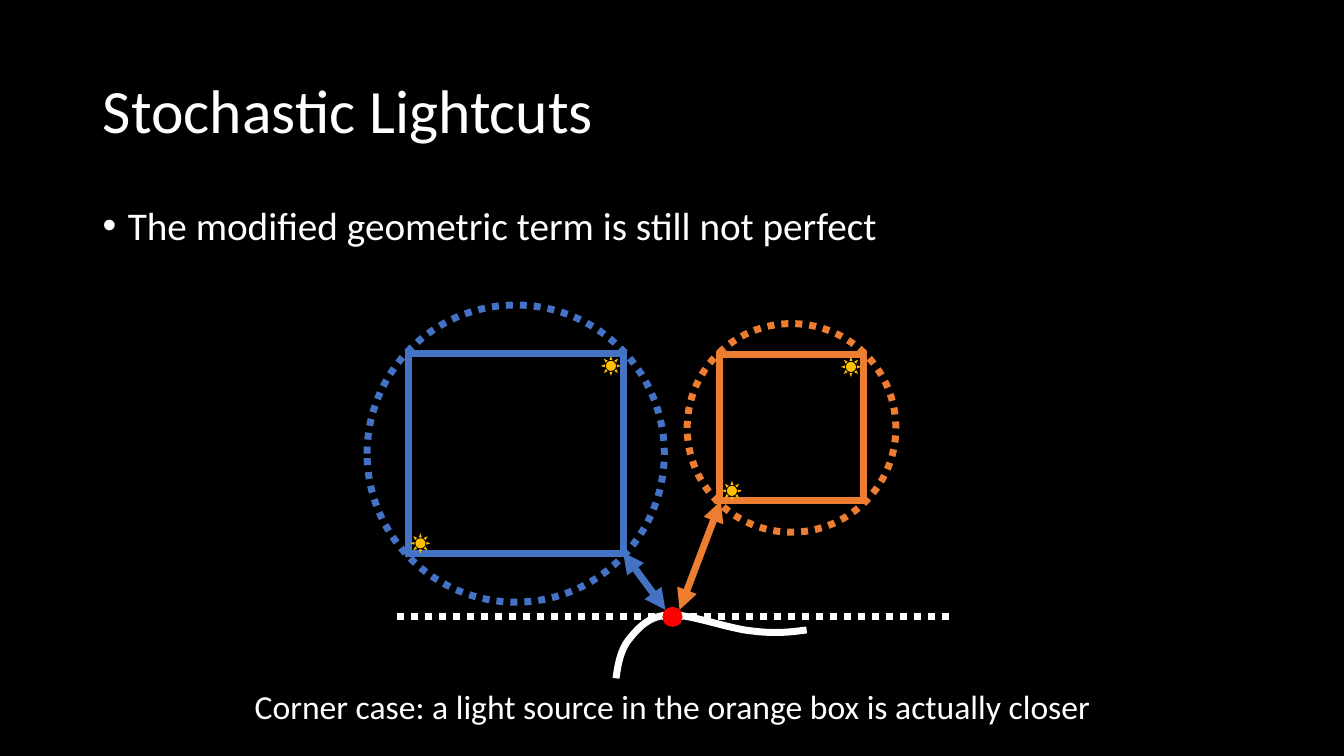
from math import hypot

from lxml import etree
from pptx import Presentation
from pptx.dml.color import RGBColor
from pptx.enum.dml import MSO_LINE
from pptx.enum.shapes import MSO_CONNECTOR, MSO_SHAPE
from pptx.enum.text import MSO_ANCHOR, MSO_AUTO_SIZE, PP_ALIGN
from pptx.oxml.ns import qn
from pptx.util import Inches, Pt

BLACK = RGBColor(0x00, 0x00, 0x00)
WHITE = RGBColor(0xFF, 0xFF, 0xFF)
RED = RGBColor(0xFF, 0x00, 0x00)
BLUE = RGBColor(0x44, 0x72, 0xC4)
ORANGE = RGBColor(0xED, 0x7D, 0x31)
GOLD = RGBColor(0xFF, 0xC0, 0x00)
DOTTED = MSO_LINE.ROUND_DOT
STRAIGHT = MSO_CONNECTOR.STRAIGHT
RECTANGLE, OVAL, SUN = MSO_SHAPE.RECTANGLE, MSO_SHAPE.OVAL, MSO_SHAPE.SUN
LEFT, CENTER = PP_ALIGN.LEFT, PP_ALIGN.CENTER
TOP, MIDDLE = MSO_ANCHOR.TOP, MSO_ANCHOR.MIDDLE
NO_AUTO_SIZE = MSO_AUTO_SIZE.NONE
FIT_SHAPE = MSO_AUTO_SIZE.SHAPE_TO_FIT_TEXT

MARKER = 0.2
SURFACE_START = (6.11, 6.73)
SURFACE_CURVES = [
    ((6.13, 6.58), (6.16, 6.43), (6.25, 6.33)),
    ((6.34, 6.22), (6.44, 6.11), (6.64, 6.10)),
    ((6.84, 6.09), (7.23, 6.24), (7.46, 6.26)),
    ((7.69, 6.29), (7.85, 6.27), (8.00, 6.25)),
]


def style_line(shape, color, dash=None, arrows=False):
    """Give a shape or connector a thick line with mitred corners."""
    line = shape.line
    line.color.rgb = color
    line.width = Pt(5)
    if dash is not None:
        line.dash_style = dash
    outline = shape._element.spPr.find(qn("a:ln"))
    etree.SubElement(outline, qn("a:miter"), lim="800000")
    if arrows:
        for end in ("a:headEnd", "a:tailEnd"):
            etree.SubElement(outline, qn(end), type="triangle")


def add_line(slide, start, end, color, dash=None, arrows=False):
    """Draw a straight line without a shadow."""
    points = [Inches(value) for value in (*start, *end)]
    connector = slide.shapes.add_connector(STRAIGHT, *points)
    style_line(connector, color, dash, arrows)
    etree.SubElement(connector._element.spPr, qn("a:effectLst"))


def add_outline(slide, kind, box, color, dash=None):
    """Draw an unfilled preset shape."""
    shape = slide.shapes.add_shape(kind, *map(Inches, box))
    shape.shadow.inherit = False
    shape.fill.background()
    style_line(shape, color, dash)


def add_marker(slide, kind, left, top, color):
    """Draw a small filled marker."""
    shape = slide.shapes.add_shape(
        kind, Inches(left), Inches(top), Inches(MARKER), Inches(MARKER))
    shape.shadow.inherit = False
    shape.fill.solid()
    shape.fill.fore_color.rgb = color
    shape.line.fill.background()


def write_text(shape, text, size, alignment=LEFT, anchor=TOP, wrap=True,
               fit=NO_AUTO_SIZE):
    """Fill a shape with one white paragraph and return the paragraph."""
    frame = shape.text_frame
    frame.text = text
    frame.word_wrap = wrap
    frame.auto_size = fit
    frame.vertical_anchor = anchor
    paragraph = frame.paragraphs[0]
    paragraph.alignment = alignment
    font = paragraph.runs[0].font
    font.name = "Calibri"
    font.size = Pt(size)
    font.color.rgb = WHITE
    return paragraph


def add_title(slide, box):
    """Place the slide title."""
    title = slide.shapes.title
    title.left, title.top, title.width, title.height = map(Inches, box)
    paragraph = write_text(title, "Stochastic Lightcuts", 44, anchor=MIDDLE)
    paragraph.line_spacing = 0.9


def add_bullet(slide, box):
    """Place the bulleted statement."""
    text_box = slide.shapes.add_textbox(*map(Inches, box))
    paragraph = write_text(
        text_box, "The modified geometric term is still not perfect", 28)
    paragraph.line_spacing = 0.9
    properties = paragraph._p.get_or_add_pPr()
    properties.set("marL", str(Inches(0.25)))
    properties.set("indent", str(Inches(-0.25)))
    etree.SubElement(properties, qn("a:buFont"), typeface="Arial")
    etree.SubElement(properties, qn("a:buChar"), char="•")


def add_caption(slide, box):
    """Place the centred caption under the diagram."""
    text_box = slide.shapes.add_textbox(*map(Inches, box))
    write_text(
        text_box,
        "Corner case: a light source in the orange box is actually closer",
        24, CENTER, wrap=False, fit=FIT_SHAPE)


def bezier_points(start, curves, steps=16):
    """Sample a chain of cubic curves."""
    points = [start]
    for first, second, end in curves:
        for step in range(1, steps + 1):
            t = step / steps
            weights = ((1 - t) ** 3, 3 * t * (1 - t) ** 2,
                       3 * t ** 2 * (1 - t), t ** 3)
            corners = (start, first, second, end)
            points.append(tuple(
                sum(weight * corner[axis]
                    for weight, corner in zip(weights, corners))
                for axis in (0, 1)))
        start = end
    return points


def add_surface(slide, center):
    """Draw the tangent line, the surface and its shading point."""
    x, y = center
    add_line(slide, (x + 2.74, y), (x - 2.78, y), WHITE, DOTTED)
    points = [(Inches(left), Inches(top))
              for left, top in bezier_points(SURFACE_START, SURFACE_CURVES)]
    builder = slide.shapes.build_freeform(*points[0], scale=1.0)
    builder.add_line_segments(points[1:], close=False)
    curve = builder.convert_to_shape()
    curve.shadow.inherit = False
    curve.fill.background()
    style_line(curve, WHITE)
    add_marker(slide, OVAL, x - MARKER / 2, y - MARKER / 2, RED)


def add_cluster(slide, box, color, arrow_start, arrow_end):
    """Draw a light cluster: box, arrow, two lights and bounding circle."""
    left, top, width, height = box
    add_outline(slide, RECTANGLE, box, color)
    add_line(slide, arrow_start, arrow_end, color, arrows=True)
    inset = 0.02
    add_marker(slide, SUN, left + inset, top + height - MARKER, GOLD)
    add_marker(slide, SUN, left + width - MARKER - inset, top + inset, GOLD)
    diameter = hypot(width, height) + 0.04
    circle = (left + (width - diameter) / 2, top + (height - diameter) / 2,
              diameter, diameter)
    add_outline(slide, OVAL, circle, color, DOTTED)


def main():
    """Build and save the slide."""
    presentation = Presentation()
    presentation.slide_width = Inches(13.33)
    presentation.slide_height = Inches(7.5)
    slide = presentation.slides.add_slide(presentation.slide_layouts[5])
    slide.background.fill.solid()
    slide.background.fill.fore_color.rgb = BLACK
    add_title(slide, (0.92, 0.4, 11.5, 1.45))
    add_bullet(slide, (0.92, 2, 11.5, 4.76))
    add_surface(slide, (6.67, 6.12))
    add_cluster(slide, (4.05, 3.51, 2.13, 1.98), BLUE,
                (6.18, 5.48), (6.6, 6.05))
    add_cluster(slide, (7.14, 3.52, 1.42, 1.45), ORANGE,
                (7.15, 4.97), (6.74, 6.05))
    add_caption(slide, (2.39, 6.76, 8.56, 0.5))
    presentation.save("out.pptx")


if __name__ == "__main__":
    main()
